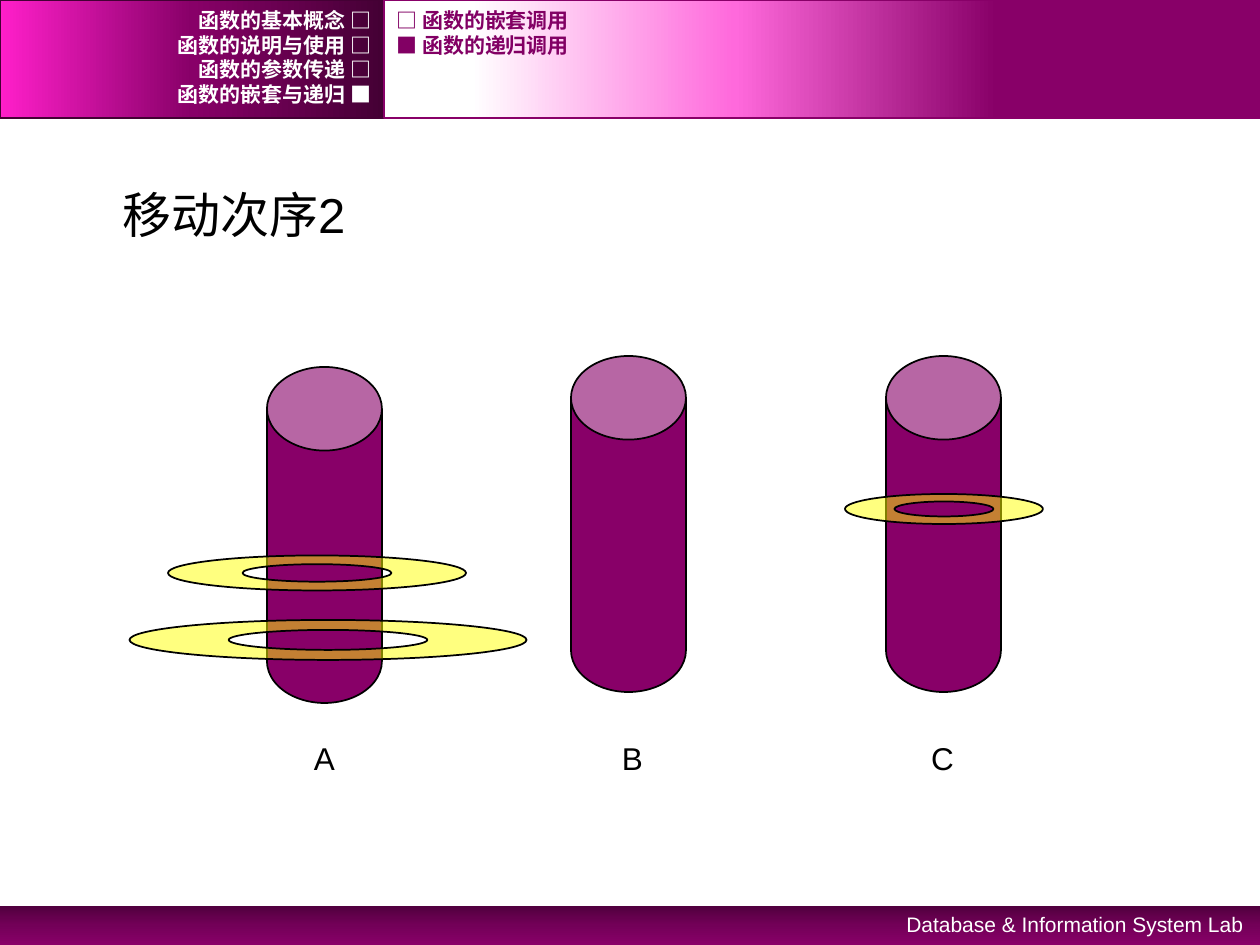
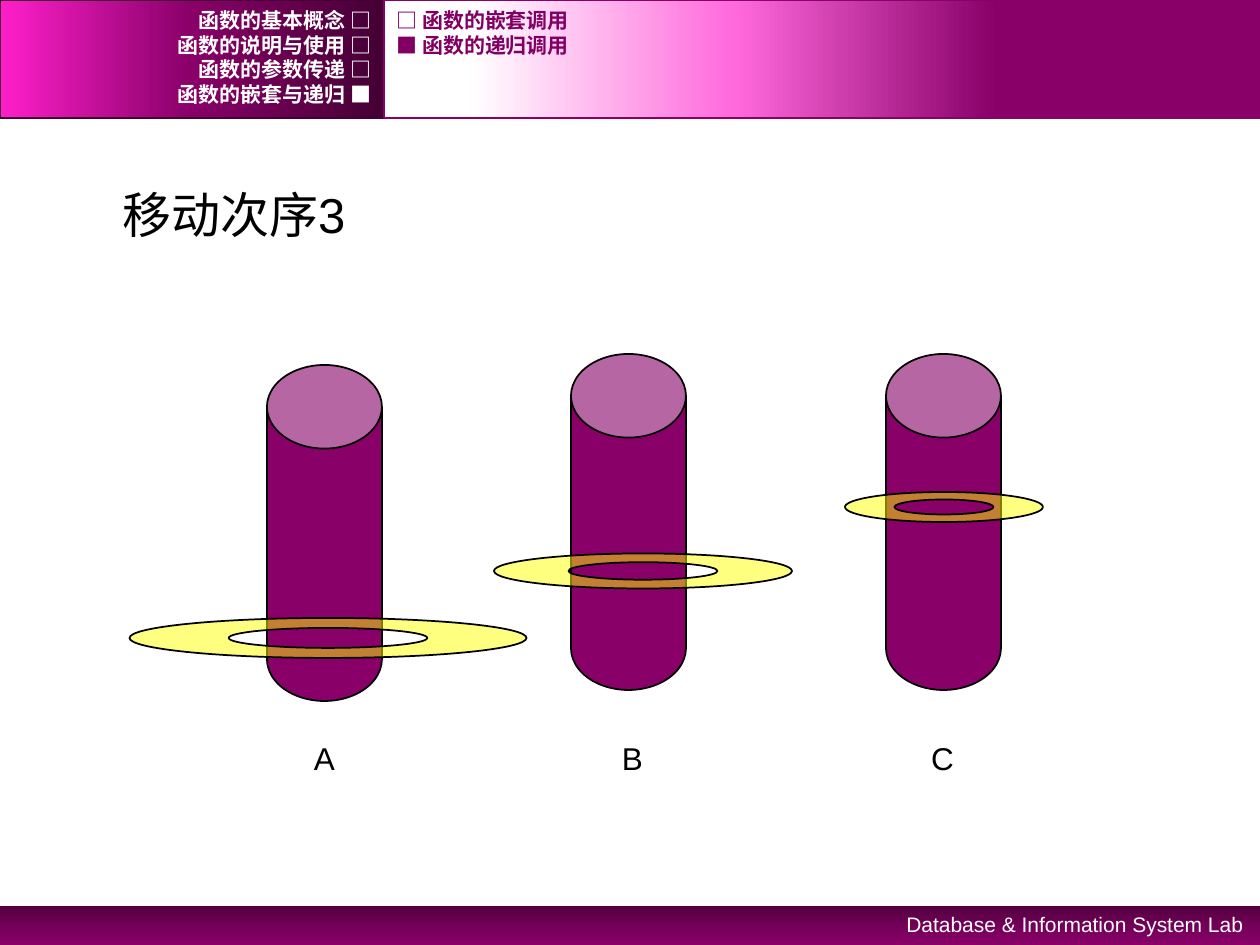
import copy

import pptx
import pptx.dml.color
import pptx.enum.shapes
import pptx.enum.text
import pptx.oxml.ns
import pptx.util

EMU_PER_PX = 914400 / 126
SLIDE_W, SLIDE_H = 1260, 945

RGB = pptx.dml.color.RGBColor
WHITE = RGB(0xFF, 0xFF, 0xFF)
BLACK = RGB(0x00, 0x00, 0x00)
PLUM = RGB(0x88, 0x00, 0x68)
PLUM_TEXT = RGB(0x82, 0x00, 0x64)
PLUM_DARK = RGB(0x44, 0x00, 0x34)
PLUM_DEEP = RGB(0x51, 0x00, 0x3E)
PLUM_MID = RGB(0x73, 0x00, 0x58)
MAGENTA = RGB(0xFF, 0x1F, 0xCA)
PINK = RGB(0xFF, 0x69, 0xDC)
YELLOW = RGB(0xFF, 0xFF, 0x00)

ALIGN = pptx.enum.text.PP_ALIGN
ANCHOR = pptx.enum.text.MSO_ANCHOR
SHAPE = pptx.enum.shapes.MSO_SHAPE
qn = pptx.oxml.ns.qn

CHAPTERS = ["函数的基本概念 □", "函数的说明与使用 □", "函数的参数传递 □", "函数的嵌套与递归 ■"]
SECTIONS = ["□ 函数的嵌套调用", "■ 函数的递归调用"]

CHAPTER_BOX = (0, 0, 384, 118)
SECTION_BOX = (384, 0, 876, 118)
FOOTER_BOX = (0, 906, SLIDE_W, 39)
TITLE_BOX = (63, 178, 1124, 77)
TITLE_INDENT = 47
LABEL_BOX = (277, 733, 756, 50)
LABEL_STOPS = [35, 343, 653]

# Peg corners and ring centres are relative to the origin of the drawing.
PEG_W, PEG_H = 115, 336
PEGS = [(137, 11), (441, 0), (756, 0)]
SMALL, MEDIUM, LARGE = (198, 30), (298, 35), (397, 40)
SMALL_ON_C = (SMALL, (814, 153))
MEDIUM_ON_A = (MEDIUM, (187, 217))
MEDIUM_ON_B = (MEDIUM, (513, 217))
LARGE_ON_A = (LARGE, (198, 284))

STEPS = [
    ("移动次序2", (130, 356), [SMALL_ON_C, MEDIUM_ON_A, LARGE_ON_A]),
    ("移动次序3", (130, 354), [SMALL_ON_C, MEDIUM_ON_B, LARGE_ON_A]),
]

QUARTERS = [(-1, 0), (0, -1), (1, 0), (0, 1)]
ARC_HANDLE = 0.55


def px(length):
    return pptx.util.Emu(round(length * EMU_PER_PX))


def add_child(parent, tag, **attributes):
    child = parent.makeelement(qn(tag), attributes)
    parent.append(child)
    return child


def paint(shape, color):
    """Fill the shape and give it the thin black outline of the drawing."""
    shape.shadow.inherit = False
    shape.fill.solid()
    shape.fill.fore_color.rgb = color
    set_outline(shape, BLACK)


def set_outline(shape, color):
    shape.line.color.rgb = color
    shape.line.width = pptx.util.Pt(1)


def add_band(slide, box, stops, clockwise_angle, outline=None):
    """Draw a rectangle with a linear gradient of three (position, colour) stops."""
    band = slide.shapes.add_shape(SHAPE.RECTANGLE, *map(px, box))
    band.shadow.inherit = False
    band.fill.gradient()
    band.fill.gradient_angle = 360 - clockwise_angle
    stop_list = next(band._element.iter(qn("a:gsLst")))
    stop_list.insert(1, copy.deepcopy(stop_list[0]))
    for stop, (position, color) in zip(band.fill.gradient_stops, stops):
        stop.position = position
        stop.color.rgb = color
    if outline is None:
        band.line.fill.background()
    else:
        set_outline(band, outline)


def add_text(slide, box, text, size, color, font="Arial", align=ALIGN.LEFT,
             anchor=ANCHOR.TOP, bold=False):
    """Add a one-line text box and return its paragraph."""
    frame = slide.shapes.add_textbox(*map(px, box)).text_frame
    frame.word_wrap = True
    frame.vertical_anchor = anchor
    paragraph = frame.paragraphs[0]
    paragraph.alignment = align
    run = paragraph.add_run()
    run.text = text
    run.font.name = font
    run.font.size = pptx.util.Pt(size)
    run.font.bold = bold
    run.font.color.rgb = color
    return paragraph


def add_bands(slide):
    add_band(slide, FOOTER_BOX, [(0, PLUM_DEEP), (0.5, PLUM_MID), (1, PLUM)], 90)
    add_band(slide, CHAPTER_BOX, [(0, PLUM_DARK), (0.5, PLUM), (1, MAGENTA)], 180, PLUM_DARK)
    add_band(slide, SECTION_BOX, [(0.3, PLUM), (0.6, PINK), (0.9, WHITE)], 180, PLUM)


def add_footer_text(slide, box):
    left, top, width, height = box
    add_text(slide, (left + 808, top - 1, width - 812, height - 1),
             "Database & Information System Lab", 12, WHITE, align=ALIGN.RIGHT)


def add_navigation(slide, box, entries, width, color, align):
    """Stack the entries of one header band in rows of 24.5 px."""
    left, top = box[:2]
    for row, entry in enumerate(entries):
        row_top = top + 8 + (49 * row + 1) // 2
        add_text(slide, (left, row_top, width, 25), entry, 12, color,
                 "Courier New", align, ANCHOR.MIDDLE, bold=True)


def add_title(slide, box, title):
    paragraph = add_text(slide, box, title, 28, BLACK)
    paragraph._p.get_or_add_pPr().set("marL", str(px(TITLE_INDENT)))


def add_peg(slide, box):
    peg = slide.shapes.add_shape(SHAPE.CAN, *map(px, box))
    peg.adjustments[0] = 0.727
    paint(peg, PLUM)


def ellipse_points(centre, width, height, direction):
    """Return the start, then two handles and an end for each quarter arc."""
    unit_points = [QUARTERS[0]]
    for (ax, ay), (bx, by) in zip(QUARTERS, QUARTERS[1:] + QUARTERS[:1]):
        unit_points += [(ax + ARC_HANDLE * bx, ay + ARC_HANDLE * by),
                        (bx + ARC_HANDLE * ax, by + ARC_HANDLE * ay), (bx, by)]
    return [(px(centre[0] + x * width / 2), px(centre[1] + y * direction * height / 2))
            for x, y in unit_points]


def round_segments(freeform):
    """Turn every three straight segments into one Bezier curve."""
    segments = list(freeform._element.iter(qn("a:lnTo")))
    for start in range(0, len(segments), 3):
        arc = segments[start:start + 3]
        curve = arc[0].makeelement(qn("a:cubicBezTo"), {})
        arc[0].addprevious(curve)
        for segment in arc:
            curve.append(segment[0])
            segment.getparent().remove(segment)


def add_ring(slide, centre, size):
    """Draw a half-transparent ring whose hole is half as wide and half as high."""
    width, height = size
    rim = ellipse_points(centre, width, height, 1)
    hole = ellipse_points(centre, width / 2, height / 2, -1)
    builder = slide.shapes.build_freeform(*rim[0])
    builder.add_line_segments(rim[1:], close=True)
    builder.move_to(*hole[0])
    builder.add_line_segments(hole[1:], close=True)
    ring = builder.convert_to_shape()
    round_segments(ring)
    paint(ring, YELLOW)
    fill_color = next(ring._element.spPr.iter(qn("a:srgbClr")))
    add_child(fill_color, "a:alpha", val="50000")


def add_peg_labels(slide, box):
    labels = add_text(slide, box, "\tA\tB\tC", 18, BLACK)
    tab_list = add_child(labels._p.get_or_add_pPr(), "a:tabLst")
    for position in LABEL_STOPS:
        add_child(tab_list, "a:tab", pos=str(px(position)), algn="ctr")


def add_hanoi_towers(slide, origin, rings):
    left, top = origin
    for x, y in PEGS:
        add_peg(slide, (left + x, top + y, PEG_W, PEG_H))
    for size, (x, y) in rings:
        add_ring(slide, (left + x, top + y), size)


def add_step_slide(deck, title, origin, rings):
    slide = deck.slides.add_slide(deck.slide_layouts[6])
    add_bands(slide)
    add_footer_text(slide, FOOTER_BOX)
    add_title(slide, TITLE_BOX, title)
    add_hanoi_towers(slide, origin, rings)
    add_peg_labels(slide, LABEL_BOX)
    add_navigation(slide, CHAPTER_BOX, CHAPTERS, 384, WHITE, ALIGN.RIGHT)
    add_navigation(slide, SECTION_BOX, SECTIONS, 758, PLUM_TEXT, ALIGN.LEFT)


def main():
    deck = pptx.Presentation()
    deck.slide_width, deck.slide_height = px(SLIDE_W), px(SLIDE_H)
    for title, origin, rings in STEPS:
        add_step_slide(deck, title, origin, rings)
    deck.save("out.pptx")


if __name__ == "__main__":
    main()
